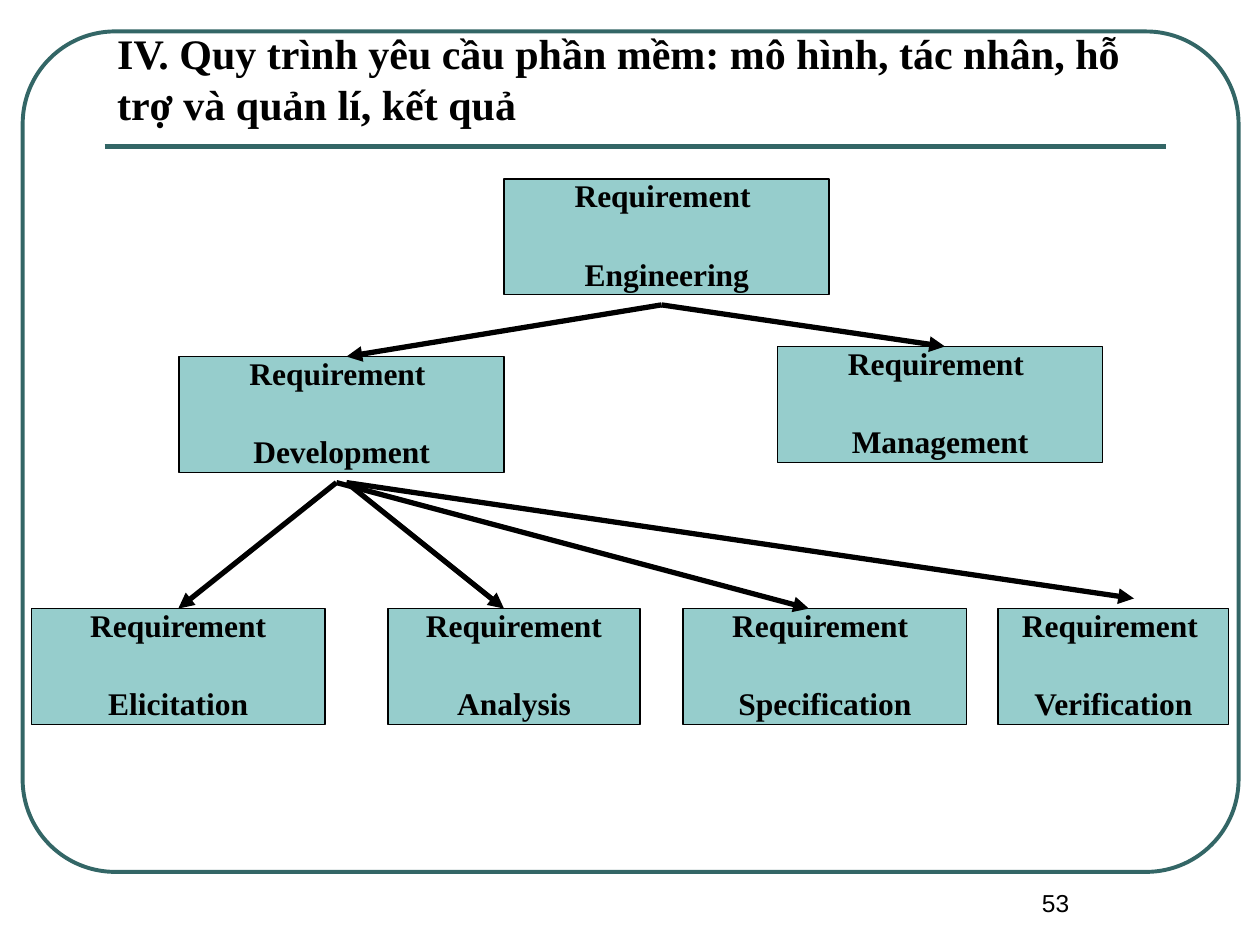
from dataclasses import dataclass
from typing import Optional

from lxml import etree
from pptx import Presentation
from pptx.dml.color import RGBColor
from pptx.enum.shapes import MSO_CONNECTOR, MSO_SHAPE
from pptx.enum.text import MSO_ANCHOR, MSO_AUTO_SIZE, PP_ALIGN
from pptx.oxml.ns import qn
from pptx.util import Inches, Pt

BLACK = RGBColor(0x00, 0x00, 0x00)
TEAL = RGBColor(0x33, 0x66, 0x66)
AQUA = RGBColor(0x96, 0xCD, 0xCC)
SERIF, SANS = "Times New Roman", "Arial"
RECT, ROUNDED = MSO_SHAPE.RECTANGLE, MSO_SHAPE.ROUNDED_RECTANGLE
STRAIGHT = MSO_CONNECTOR.STRAIGHT
LEFT, CENTER = PP_ALIGN.LEFT, PP_ALIGN.CENTER
TOP, NO_FIT = MSO_ANCHOR.TOP, MSO_AUTO_SIZE.NONE
BOX_H = 0.92
TOP_SIDE = 0


@dataclass
class Box:
    word: str
    left: float
    top: float
    width: float
    indents: Optional[tuple[float, float]] = None  # None centres both lines


@dataclass
class Arrow:
    start: tuple[float, float]
    end: tuple[float, float]
    target: Optional[str] = None


BOXES = [
    Box("Engineering", 4, 1.42, 2.58, (0.56, 0.64)),
    Box("Development", 1.42, 2.83, 2.58, (0.56, 0.59)),
    Box("Management", 6.17, 2.75, 2.58, (0.56, 0.59)),
    Box("Elicitation", 0.25, 4.83, 2.33),
    Box("Analysis", 3.08, 4.83, 2),
    Box("Specification", 5.42, 4.83, 2.25, (0.39, 0.44)),
    Box("Verification", 7.92, 4.83, 1.83, (0.19, 0.29)),
]

ARROWS = [
    Arrow((5.25, 2.42), (2.75, 2.83)),
    Arrow((5.25, 2.42), (7.5, 2.75)),
    Arrow((2.67, 3.83), (1.42, 4.83), "Elicitation"),
    Arrow((2.75, 3.83), (4, 4.83)),
    Arrow((2.67, 3.83), (6.42, 4.83)),
    Arrow((2.75, 3.83), (9, 4.75)),
]


def prepare_frame(tf) -> None:
    tf.margin_left = tf.margin_top = tf.margin_right = tf.margin_bottom = 0
    tf.word_wrap = True
    tf.auto_size = NO_FIT
    tf.vertical_anchor = TOP


def format_paragraph(p, size: float, font: str = SERIF, bold: bool = True,
                     align=LEFT, indent: float = 0) -> None:
    p.alignment = align
    if indent:
        p._p.get_or_add_pPr().set("marL", str(Inches(indent)))
    for r in p.runs:
        r.font.size = Pt(size)
        r.font.name = font
        r.font.bold = bold
        r.font.color.rgb = BLACK


def add_line(s, start: tuple[float, float], end: tuple[float, float],
             color: RGBColor, arrow: bool = False):
    line = s.shapes.add_connector(STRAIGHT, *map(Inches, start + end))
    line.line.color.rgb = color
    line.line.width = Pt(3)
    sp_pr = line._element.spPr
    if arrow:
        head = etree.SubElement(line.line._get_or_add_ln(), qn("a:tailEnd"))
        head.set("type", "triangle")
    etree.SubElement(sp_pr, qn("a:effectLst"))
    return line


def add_box(s, box: Box):
    sp = s.shapes.add_shape(RECT, Inches(box.left), Inches(box.top),
                            Inches(box.width), Inches(BOX_H))
    sp.shadow.inherit = False
    sp.fill.solid()
    sp.fill.fore_color.rgb = AQUA
    sp.line.color.rgb = BLACK
    sp.line.width = Pt(0.75)
    tf = sp.text_frame
    prepare_frame(tf)
    tf.text = f"Requirement\n{box.word}"
    align = LEFT if box.indents else CENTER
    for p, indent in zip(tf.paragraphs, box.indents or (0, 0)):
        format_paragraph(p, 18, align=align, indent=indent)
    first, second = tf.paragraphs
    first.line_spacing = Pt(20.2)
    second.space_before = Pt(23)
    return sp


def main() -> None:
    prs = Presentation()
    prs.slide_width, prs.slide_height = Inches(10), Inches(7.5)
    s = prs.slides.add_slide(prs.slide_layouts[5])

    # Rounded frame and title rule
    frame = s.shapes.add_shape(ROUNDED, Inches(0.18), Inches(0.25),
                               Inches(9.65), Inches(6.67))
    frame.adjustments[0] = 0.11
    frame.shadow.inherit = False
    frame.fill.background()
    frame.line.color.rgb = TEAL
    frame.line.width = Pt(2.25)
    add_line(s, (0.83, 1.16), (9.25, 1.16), TEAL)

    # Title
    title = s.shapes.title
    title.left, title.top = Inches(0.92), Inches(0.22)
    title.width, title.height = Inches(8.16), Inches(0.83)
    tf = title.text_frame
    prepare_frame(tf)
    tf.text = ("IV. Quy trình yêu cầu phần mềm: mô hình, tác nhân, "
               "hỗ trợ và quản lí, kết quả")
    p = tf.paragraphs[0]
    format_paragraph(p, 24, indent=0.01)
    p.space_before = Pt(1)

    # Requirement tree
    shapes = {box.word: add_box(s, box) for box in BOXES}
    for arrow in ARROWS:
        line = add_line(s, arrow.start, arrow.end, BLACK, arrow=True)
        if arrow.target:
            line.end_connect(shapes[arrow.target], TOP_SIDE)

    # Page number
    number = s.shapes.add_textbox(Inches(8.23), Inches(7.05),
                                  Inches(0.3), Inches(0.25))
    tf = number.text_frame
    prepare_frame(tf)
    tf.text = "53"
    format_paragraph(tf.paragraphs[0], 14, SANS, bold=False, indent=0.04)
    tf.paragraphs[0].line_spacing = Pt(16.6)

    prs.save("out.pptx")


if __name__ == "__main__":
    main()
